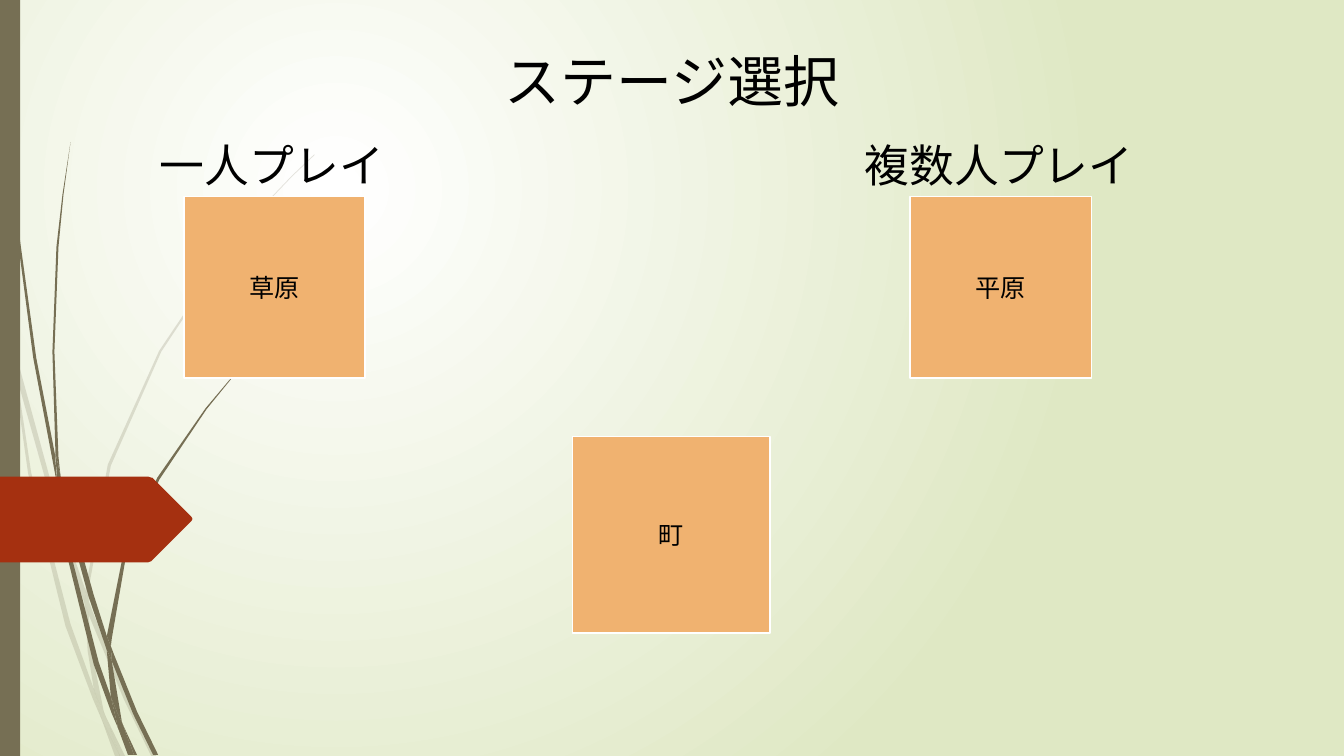
from dataclasses import dataclass

from lxml import etree
from pptx import Presentation
from pptx.dml.color import RGBColor
from pptx.enum.shapes import MSO_SHAPE
from pptx.enum.text import MSO_ANCHOR, MSO_AUTO_SIZE, PP_ALIGN
from pptx.oxml.ns import qn
from pptx.util import Cm, Pt

RECTANGLE = MSO_SHAPE.RECTANGLE
MIDDLE = MSO_ANCHOR.MIDDLE
GROW = MSO_AUTO_SIZE.SHAPE_TO_FIT_TEXT
LEFT, CENTER = PP_ALIGN.LEFT, PP_ALIGN.CENTER


@dataclass(frozen=True)
class Theme:
    """Colours, font and type sizes of the slide."""
    font: str = "Quicksand"
    text: RGBColor = RGBColor(0, 0, 0)
    white: RGBColor = RGBColor(255, 255, 255)
    leaf: RGBColor = RGBColor(0xDF, 0xE8, 0xC4)
    stem: RGBColor = RGBColor(0x76, 0x6F, 0x54)
    tag: RGBColor = RGBColor(0xA5, 0x30, 0x10)
    tile: RGBColor = RGBColor(0xF0, 0xB2, 0x70)
    title_size: Pt = Pt(40)
    heading_size: Pt = Pt(32)
    tile_size: Pt = Pt(18)
    tile_line: Pt = Pt(1.25)
    pale_alpha: int = 20


THEME = Theme()
OUTLINE_UNIT = Cm(0.0254)

PALE_GRASS = [
    [(11, 350), (9, 322), (0, 282), (0, 299), (10, 344)],
    [(58, 522), (84, 599), (85, 586), (62, 520), (14, 345), (17, 376)],
    [(92, 607), (88, 596), (88, 610), (123, 694), (150, 750), (155, 750), (127, 692)],
    [(119, 750), (124, 750), (105, 711)],
    [(93, 683), (70, 619), (31, 469), (17, 376), (11, 350), (28, 470), (65, 621),
     (92, 693), (101, 714), (99, 707)],
    [(84, 599), (87, 646), (93, 683), (96, 692), (105, 711), (103, 706), (91, 646),
     (88, 610), (88, 608)],
    [(88, 584), (110, 462), (160, 349), (229, 245), (268, 198), (290, 175), (312, 154),
     (312, 153), (289, 175), (268, 197), (228, 244), (158, 348), (107, 461), (85, 584),
     (85, 586), (88, 596)],
    [(101, 714), (114, 750), (119, 750)],
    [(88, 608), (88, 610), (88, 596), (85, 586), (84, 599)],
    [(96, 692), (93, 683), (99, 707), (101, 714), (119, 750), (105, 711)],
]

DARK_GRASS = [
    [(7, 110), (17, 233), (33, 355), (56, 477), (57, 481), (55, 457), (55, 453),
     (36, 355), (19, 232), (8, 109), (5, 48), (4, 0), (3, 0), (4, 48)],
    [(88, 592), (106, 645), (106, 633), (106, 631), (93, 590), (60, 472), (64, 505)],
    [(113, 649), (110, 641), (111, 656), (132, 708), (152, 749), (157, 749), (136, 706)],
    [(110, 691), (98, 657), (72, 556), (64, 505), (57, 477), (68, 557), (93, 659),
     (111, 708), (117, 722), (116, 717)],
    [(60, 472), (58, 453), (54, 349), (58, 245), (63, 193), (70, 141), (62, 193),
     (56, 245), (52, 349), (55, 449)],
    [(133, 749), (136, 749), (122, 719)],
    [(57, 477), (64, 505), (60, 472), (55, 449), (55, 453)],
    [(111, 633), (125, 552), (158, 476), (205, 406), (231, 374), (245, 359), (261, 344),
     (260, 344), (245, 358), (231, 373), (204, 405), (156, 474), (122, 551), (106, 631),
     (110, 641)],
    [(117, 722), (127, 749), (131, 749)],
    [(106, 645), (110, 691), (116, 706), (122, 719), (121, 716), (111, 656), (109, 651)],
    [(106, 645), (109, 651), (111, 656), (110, 641), (106, 631), (106, 633)],
    [(116, 706), (110, 691), (116, 717), (117, 722), (130, 749), (133, 749), (122, 719)],
]

TAG = [(0, 0), (147, 0), (150, 1), (151, 1), (190, 40), (191, 42), (190, 44),
       (151, 83), (150, 84), (147, 85), (0, 85)]


def paint(shape, color):
    """Give a shape a plain fill without line or shadow."""
    shape.fill.solid()
    shape.fill.fore_color.rgb = color
    shape.line.fill.background()
    shape.shadow.inherit = False


def write(shape, text, size, alignment):
    """Write one paragraph in the theme font."""
    paragraph = shape.text_frame.paragraphs[0]
    paragraph.text = text
    paragraph.alignment = alignment
    paragraph.font.name = THEME.font
    paragraph.font.size = size
    paragraph.font.color.rgb = THEME.text


def add_outline(shapes, points, left, top, color):
    """Draw a closed outline measured from the given corner."""
    builder = shapes.build_freeform(*points[0], scale=OUTLINE_UNIT)
    builder.add_line_segments(points[1:], close=True)
    shape = builder.convert_to_shape(left, top)
    paint(shape, color)
    return shape


def add_grass(slide, blades, left, top, alpha=None):
    """Draw a group of grass blades, see-through if alpha is given."""
    group = slide.shapes.add_group_shape()
    for points in blades:
        blade = add_outline(group.shapes, points, left, top, THEME.stem)
        if alpha is not None:
            color = blade.fill._xPr.find(qn("a:solidFill"))[0]
            etree.SubElement(color, qn("a:alpha"), val=str(alpha * 1000))


def add_background(slide):
    """Fill the background with a round gradient."""
    fill = slide.background.fill
    fill.gradient()
    for stop, color, position in zip(fill.gradient_stops, (THEME.white, THEME.leaf), (0, 1)):
        stop.color.rgb = color
        stop.position = position
    gradient = slide.element.find(".//" + qn("a:gradFill"))
    linear = gradient.find(qn("a:lin"))
    circle = etree.Element(qn("a:path"), path="circle")
    etree.SubElement(circle, qn("a:fillToRect"), l="50000", t="50000", r="100000", b="100000")
    gradient.replace(linear, circle)


def add_decoration(slide, left, top, height):
    """Draw the grass, the side bar and the red tag along the left edge."""
    add_grass(slide, PALE_GRASS, left, top, THEME.pale_alpha)
    add_grass(slide, DARK_GRASS, left, top)
    bar = slide.shapes.add_shape(RECTANGLE, left, top, Cm(0.51), height)
    paint(bar, THEME.stem)
    add_outline(slide.shapes, TAG, left, top + Cm(12.01), THEME.tag)


def add_label(slide, text, box, size, alignment=LEFT, wrap=False):
    """Place a text box that grows with its text."""
    label = slide.shapes.add_textbox(*box)
    label.text_frame.word_wrap = wrap
    label.text_frame.auto_size = GROW
    write(label, text, size, alignment)


def add_stage(slide, name, box):
    """Place a stage tile with its name in the middle."""
    tile = slide.shapes.add_shape(RECTANGLE, *box)
    paint(tile, THEME.tile)
    tile.line.color.rgb = THEME.white
    tile.line.width = THEME.tile_line
    tile.text_frame.vertical_anchor = MIDDLE
    write(tile, name, THEME.tile_size, CENTER)


def add_mode(slide, heading, stage, left, top, width, tile_left):
    """Place a play mode heading with its stage tile below."""
    add_label(slide, heading, (left, top, width, Cm(1.63)), THEME.heading_size)
    add_stage(slide, stage, (left + tile_left, top + Cm(1.6), Cm(4.57), Cm(4.57)))


def main():
    """Build the stage selection slide."""
    presentation = Presentation()
    presentation.slide_width, presentation.slide_height = Cm(33.87), Cm(19.05)
    slide = presentation.slides.add_slide(presentation.slide_layouts[6])
    add_background(slide)
    add_decoration(slide, Cm(0), Cm(0), presentation.slide_height)
    add_mode(slide, "一人プレイ", "草原", Cm(3.78), Cm(3.35), Cm(6.22), Cm(0.85))
    add_mode(slide, "複数人プレイ", "平原", Cm(21.54), Cm(3.35), Cm(7.34), Cm(1.4))
    add_stage(slide, "町", (Cm(14.43), Cm(11), Cm(4.98), Cm(4.95)))
    add_label(slide, "ステージ選択", (Cm(8.66), Cm(1.04), Cm(16.56), Cm(1.96)),
              THEME.title_size, CENTER, wrap=True)
    presentation.save("out.pptx")


if __name__ == "__main__":
    main()
